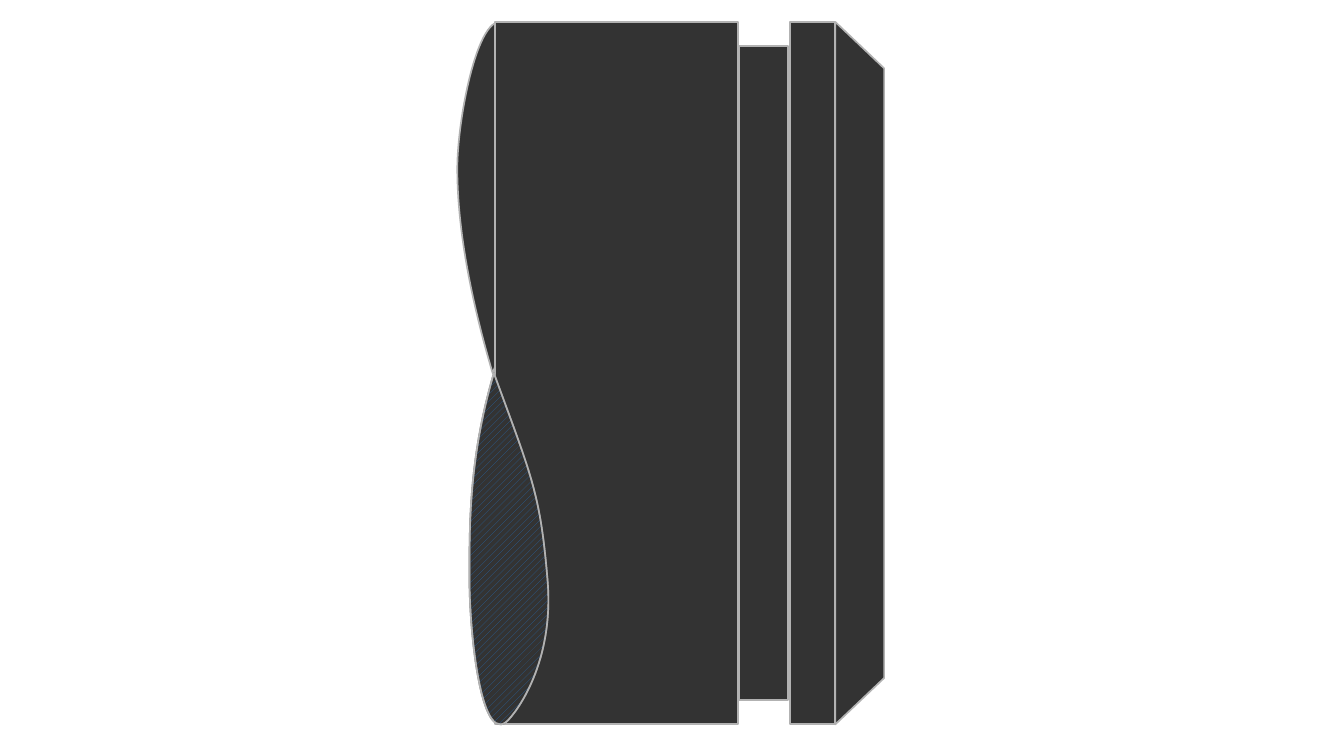
from lxml.etree import SubElement
from pptx import Presentation
from pptx.dml.color import RGBColor
from pptx.enum.dml import MSO_PATTERN as Pattern
from pptx.enum.shapes import MSO_SHAPE as Shape
from pptx.oxml.ns import qn
from pptx.util import Inches, Pt

# Grid: cells of 0.01 inch
CELL = Inches(0.01)
COLUMNS, ROWS = 1102, 620
PIN_BOX = (375, 18, 350, 576)  # left, top, width, height

METAL, EDGE, SHADE_EDGE = "333333", "B2B2B2", "808080"
HATCH, PAPER = "2A6099", "FFFFFF"

# Broken end: Bezier points as (column from box left, row from box middle).
# The outer side is shared by both lobes; the inner sides differ.
OUTER_SIDE = [(61, 85), (68, 98), (74, 170), (80, 242), (44, 282), (44, 282)]
UPPER_INNER = [(20, 314), (0, 211), (0, 168), (0, 126), (8, 71), (29, 0)]
LOWER_INNER = [(20, 314), (10, 213), (10, 170), (10, 128), (9, 71), (30, 0)]

# Cylinder bands: (left, width, inset from top and bottom)
BANDS = [(31, 199, 0), (231, 40, 20), (273, 37, 0)]
CHAMFER_DEPTH, CHAMFER_DROP = 40, 38


def color(hex_string):
    return RGBColor.from_string(hex_string)


def style(shape, edge=EDGE):
    shape.shadow.inherit = False
    shape.fill.solid()
    shape.fill.fore_color.rgb = color(METAL)
    shape.line.color.rgb = color(edge)
    shape.line.width = Pt(1)


def hatch(shape):
    fill = shape.fill
    fill.patterned()
    fill.pattern = Pattern.WIDE_UPWARD_DIAGONAL
    fill.fore_color.rgb = color(HATCH)
    fill.back_color.rgb = color(PAPER)
    # Clear background lets the metal show between the strokes
    background = shape.element.spPr.find(".//" + qn("a:bgClr"))
    SubElement(background[0], qn("a:alpha"), val="0")


def add_outline(shapes, points):
    start, *rest = points
    builder = shapes.build_freeform(*start, scale=CELL)
    builder.add_line_segments(rest, close=True)
    return builder.convert_to_shape()


def bend(shape, left, top, points):
    """Redraw the outline as cubic curves, three points for each."""
    outline = shape.element.spPr.find(".//" + qn("a:path"))
    for child in list(outline):
        outline.remove(child)
    steps = [("a:moveTo", points[:1])]
    steps += [("a:cubicBezTo", points[index:index + 3])
              for index in range(1, len(points), 3)]
    for tag, corners in steps:
        step = SubElement(outline, qn(tag))
        for x, y in corners:
            SubElement(step, qn("a:pt"), x=str(round(x - left)),
                       y=str(round(y - top)))
    SubElement(outline, qn("a:close"))


def add_lobe(shapes, box, inner_side, direction, edge=EDGE):
    left, top, _, height = box
    middle = top + height // 2
    controls = [(left + x, middle + direction * y)
                for x, y in OUTER_SIDE + inner_side]
    points = controls[-1:] + controls
    anchor_columns = [x for x, _ in points[::3]]
    first, last = min(anchor_columns), max(anchor_columns)
    upper, lower = sorted((middle, middle + direction * height // 2))
    lobe = add_outline(shapes, [(first, upper), (last, lower)])
    bend(lobe, first, upper, points)
    style(lobe, edge)
    return lobe


def add_cylinder(shapes, box):
    left, top, width, height = box
    group = shapes.add_group_shape()

    # Body, groove and collar
    for offset, band_width, inset in BANDS:
        cells = (left + offset, top + inset, band_width, height - 2 * inset)
        band = group.shapes.add_shape(
            Shape.RECTANGLE, *(cell * CELL for cell in cells))
        style(band)

    # Chamfered end: a lying trapezoid turned upright about its centre
    start = left + width - (CHAMFER_DEPTH + height) // 2
    end = start + height
    near = top + (height - CHAMFER_DEPTH) // 2
    far = near + CHAMFER_DEPTH
    chamfer = add_outline(group.shapes, [
        (start, near), (end, near),
        (end - CHAMFER_DROP, far), (start + CHAMFER_DROP, far)])
    chamfer.rotation = 270
    style(chamfer)


def add_cut_face(shapes, box):
    group = shapes.add_group_shape()
    add_lobe(group.shapes, box, LOWER_INNER, 1, SHADE_EDGE)
    hatch(add_lobe(group.shapes, box, LOWER_INNER, 1))


def add_pin(slide, box):
    add_lobe(slide.shapes, box, UPPER_INNER, -1)
    add_cylinder(slide.shapes, box)
    add_cut_face(slide.shapes, box)


def main():
    presentation = Presentation()
    presentation.slide_width = COLUMNS * CELL
    presentation.slide_height = ROWS * CELL
    slide = presentation.slides.add_slide(presentation.slide_layouts[6])
    add_pin(slide, PIN_BOX)
    presentation.save("out.pptx")


if __name__ == "__main__":
    main()
